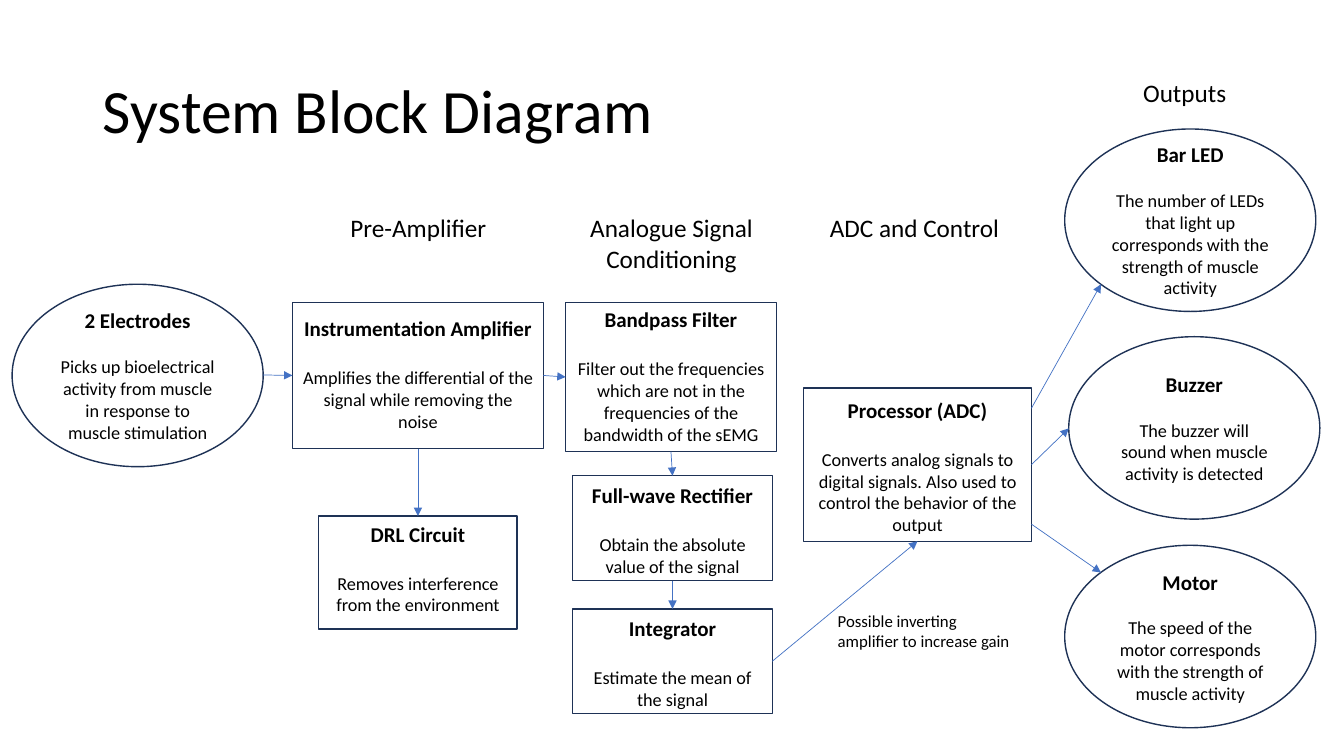
from pptx import Presentation
from pptx.dml.color import RGBColor
from pptx.enum.shapes import MSO_CONNECTOR as Line, MSO_SHAPE as Kind
from pptx.enum.text import MSO_ANCHOR as Anchor, PP_ALIGN as Align
from pptx.oxml.ns import qn
from pptx.util import Inches, Pt
from lxml.etree import SubElement

INK, EDGE, ARROW = "000000", "1E3256", "4472C4"
TOP, LEFT, BOTTOM, RIGHT = range(4)

# name: place, top inset, heading, body
BOXES = {
    "amp": ((2.9, 3, 2.49, 1.45), 0.13, "Instrumentation Amplifier",
            "Amplifies the differential of the signal while removing the noise"),
    "drl": ((3.16, 5.12, 1.97, 1.12), 0.05, "DRL Circuit",
            "Removes interference from the environment"),
    "filter": ((5.61, 3, 2.09, 1.48), 0.04, "Bandpass Filter",
               "Filter out the frequencies which are not in the frequencies "
               "of the bandwidth of the sEMG"),
    "wave": ((5.68, 4.72, 1.98, 1.04), 0.07, "Full-wave Rectifier",
             "Obtain the absolute value of the signal"),
    "mean": ((5.68, 6.04, 1.98, 1.04), 0.07, "Integrator",
             "Estimate the mean of the signal"),
    "adc": ((7.97, 3.85, 2.26, 1.52), 0.09, "Processor (ADC)",
            "Converts analog signals to digital signals. Also used to control "
            "the behavior of the output"),
}

OVALS = [
    (0.12, 2.82, "2 Electrodes",
     "Picks up bioelectrical activity from muscle in response to muscle stimulation"),
    (10.56, 1.28, "Bar LED",
     "The number of LEDs that light up corresponds with the strength of muscle activity"),
    (10.6, 3.34, "Buzzer", "The buzzer will sound when muscle activity is detected"),
    (10.56, 5.41, "Motor",
     "The speed of the motor corresponds with the strength of muscle activity"),
]

LABELS = [
    ((3.35, 2.06, 1.6, 0.4), "Pre-Amplifier"),
    ((5.6, 2.06, 2.12, 0.71), "Analogue Signal Conditioning"),
    ((8.01, 2.06, 2.12, 0.4), "ADC and Control"),
    ((11.2, 0.72, 1.1, 0.4), "Outputs"),
]

# An end is either a point or a box name with a side
LINKS = [
    ((2.61, 3.72), ("amp", LEFT)),
    (("amp", BOTTOM), ("drl", TOP)),
    (("amp", RIGHT), ("filter", LEFT)),
    (("filter", BOTTOM), ("wave", TOP)),
    (("wave", BOTTOM), ("mean", TOP)),
    (("mean", RIGHT), ("adc", BOTTOM)),
    ((10.23, 4.05), (10.92, 2.82)),
    (("adc", RIGHT), (10.6, 4.25)),
    ((10.23, 5.2), (10.92, 5.68)),
]


def color(code):
    return RGBColor.from_string(code)


def write(para, text, size, bold=False, **form):
    para.text = text
    para.font.color.rgb = color(INK)
    for key, val in {"name": "Calibri", "size": Pt(size), "bold": bold}.items():
        setattr(para.font, key, val)
    for key, val in form.items():
        setattr(para, key, val)


def add_block(slide, kind, place, head, body, gap, **form):
    """Add an outlined shape with a bold heading over its description."""
    shape = slide.shapes.add_shape(kind, *map(Inches, place))
    shape.shadow.inherit = False
    shape.fill.background()
    shape.line.color.rgb = color(EDGE)
    shape.line.width = Pt(1)
    frame = shape.text_frame
    for key, val in {"word_wrap": True, **form}.items():
        setattr(frame, key, val)
    write(frame.paragraphs[0], head, 15, True, alignment=Align.CENTER)
    write(frame.add_paragraph(), body, 13, alignment=Align.CENTER,
          space_before=Pt(gap))
    return shape


def add_label(slide, place, text, size, align):
    frame = slide.shapes.add_textbox(*map(Inches, place)).text_frame
    frame.word_wrap = True
    write(frame.paragraphs[0], text, size, alignment=align)


def add_arrow(slide, boxes, start, end):
    points = [(0, 0) if end_[0] in boxes else end_ for end_ in (start, end)]
    link = slide.shapes.add_connector(
        Line.STRAIGHT, *(Inches(n) for point in points for n in point))
    for spot, join in ((start, link.begin_connect), (end, link.end_connect)):
        if spot[0] in boxes:
            join(boxes[spot[0]], spot[1])
    link.line.color.rgb = color(ARROW)
    link.line.width = Pt(0.5)
    SubElement(link.line._get_or_add_ln(), qn("a:tailEnd"), type="triangle")
    SubElement(link._element.spPr, qn("a:effectLst"))


def set_title(slide, text):
    title = slide.shapes.title
    place = {"left": 0.92, "top": 0.4, "width": 11.5, "height": 1.45}
    for key, val in place.items():
        setattr(title, key, Inches(val))
    title.text_frame.vertical_anchor = Anchor.MIDDLE
    write(title.text_frame.paragraphs[0], text, 44,
          alignment=Align.LEFT, line_spacing=0.9)


def main():
    deck = Presentation()
    deck.slide_width, deck.slide_height = Inches(13.33), Inches(7.5)
    slide = deck.slides.add_slide(deck.slide_layouts[5])
    set_title(slide, "System Block Diagram")
    boxes = {
        name: add_block(slide, Kind.RECTANGLE, place, head, body, 18.3,
                        vertical_anchor=Anchor.TOP, margin_top=Inches(inset))
        for name, (place, inset, head, body) in BOXES.items()
    }
    for left, top, head, body in OVALS:
        add_block(slide, Kind.OVAL, (left, top, 2.49, 1.81), head, body, 15.9,
                  vertical_anchor=Anchor.MIDDLE)
    for place, text in LABELS:
        add_label(slide, place, text, 18, Align.CENTER)
    add_label(slide, (8.21, 6.01, 1.91, 0.5),
              "Possible inverting amplifier to increase gain", 12, Align.LEFT)
    for start, end in LINKS:
        add_arrow(slide, boxes, start, end)
    deck.save("out.pptx")


if __name__ == "__main__":
    main()
